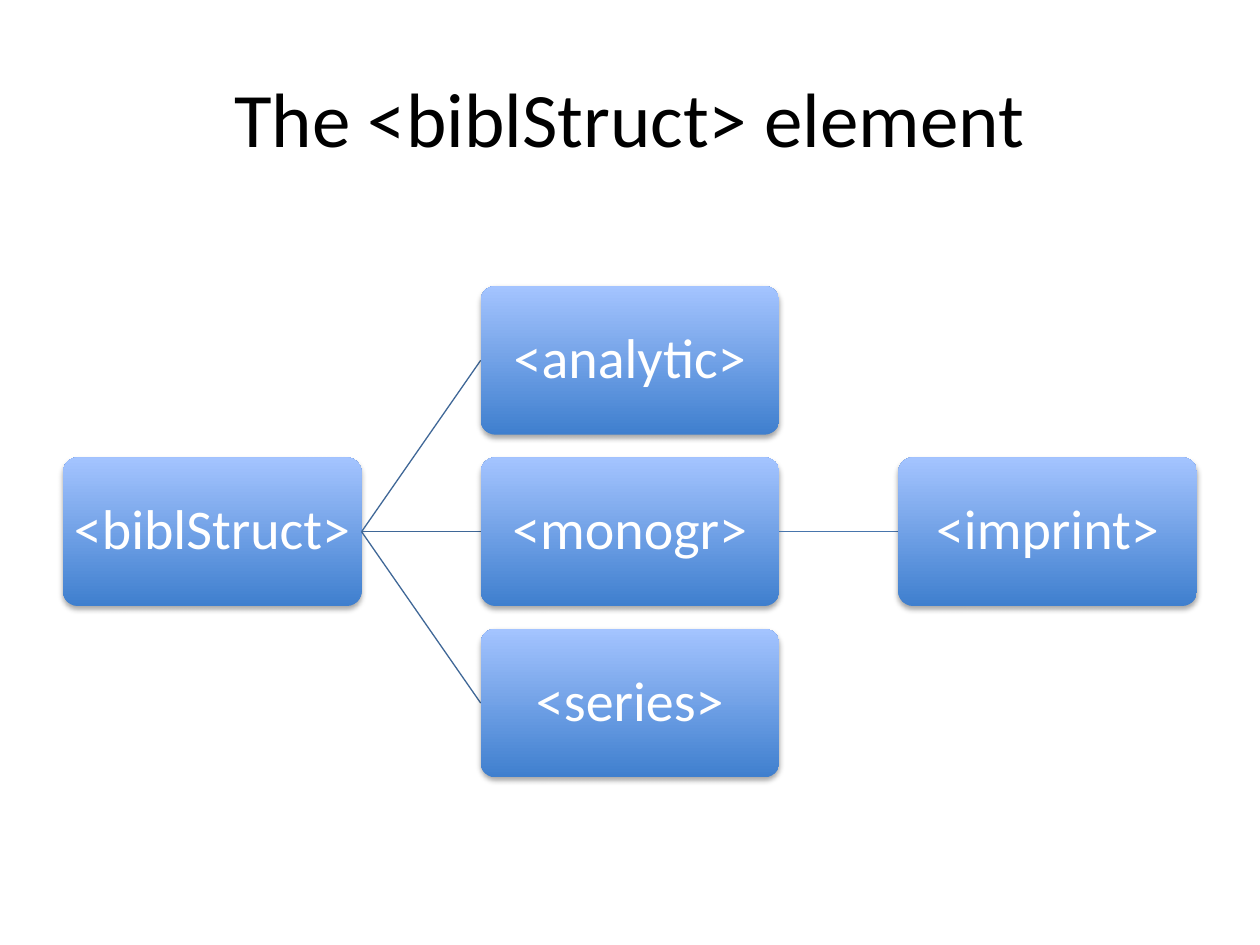
import pptx
import pptx.util
import pptx.dml.color
import pptx.enum.shapes
import pptx.enum.text
import pptx.oxml
import pptx.oxml.ns
import lxml.etree

Inches, Pt = pptx.util.Inches, pptx.util.Pt


def rgb(value):
    """Turn a hex string into a colour."""
    return pptx.dml.color.RGBColor.from_string(value)


def write(tf, text, size=32, color="FFFFFF", font="Calibri", spacing=1.0, margin=0.05):
    """Put one centred, formatted paragraph into a text frame."""
    tf.word_wrap = True
    tf.vertical_anchor = pptx.enum.text.MSO_ANCHOR.MIDDLE
    tf.margin_left = tf.margin_right = tf.margin_top = tf.margin_bottom = Inches(margin)
    p = tf.paragraphs[0]
    p.alignment = pptx.enum.text.PP_ALIGN.CENTER
    p.line_spacing = spacing
    r = p.add_run()
    r.text = text
    r.font.size = Pt(size)
    r.font.name = font
    r.font.color.rgb = rgb(color)


class Tree:
    """Draw a horizontal tree of rounded boxes on one slide."""

    width, height = 2.37, 1.18
    left, middle = 0.5, 4.22
    column_step, row_step = 3.315, 1.36
    gradient = ("3F7FCE", "A4C4FF")

    def __init__(self, s):
        self.s = s

    def title(self, text):
        """Fill the title placeholder."""
        sp = self.s.shapes.title
        sp.left, sp.top, sp.width, sp.height = map(Inches, (0.5, 0.3, 9, 1.25))
        write(sp.text_frame, text, size=44, color="000000")

    def node(self, text, column, row):
        """Add a box whose row counts from the middle line."""
        x = self.left + column * self.column_step
        y = self.middle + row * self.row_step - self.height / 2
        sp = self.s.shapes.add_shape(
            pptx.enum.shapes.MSO_SHAPE.ROUNDED_RECTANGLE,
            Inches(x), Inches(y), Inches(self.width), Inches(self.height))
        sp.adjustments[0] = 0.1
        sp.fill.gradient()
        sp.fill.gradient_angle = 90
        for position, (stop, color) in enumerate(zip(sp.fill.gradient_stops, self.gradient)):
            stop.position = position
            stop.color.rgb = rgb(color)
        sp.line.fill.background()
        self.shadow(sp)
        write(sp.text_frame, text, spacing=0.9, margin=0.02)

    def shadow(self, sp):
        """Give a shape a soft shadow below it."""
        sp.shadow.inherit = False
        effects = sp._element.spPr.find(pptx.oxml.ns.qn("a:effectLst"))
        effects.append(pptx.oxml.parse_xml(
            f'<a:outerShdw {pptx.oxml.ns.nsdecls("a")} blurRad="{Pt(3.1)}" dist="{Pt(1.8)}" '
            'dir="5400000" rotWithShape="0"><a:srgbClr val="000000">'
            '<a:alpha val="35000"/></a:srgbClr></a:outerShdw>'))

    def link(self, column, row, color):
        """Join the middle box of the previous column to a box."""
        x = self.left + column * self.column_step
        line = self.s.shapes.add_connector(
            pptx.enum.shapes.MSO_CONNECTOR.STRAIGHT,
            Inches(x - self.column_step + self.width), Inches(self.middle),
            Inches(x), Inches(self.middle + row * self.row_step))
        line.line.color.rgb = rgb(color)
        line.line.width = Pt(0.75)
        lxml.etree.SubElement(line._element.spPr, pptx.oxml.ns.qn("a:effectLst"))


prs = pptx.Presentation()
prs.slide_width, prs.slide_height = Inches(10), Inches(7.5)
tree = Tree(prs.slides.add_slide(prs.slide_layouts[5]))
tree.title("The <biblStruct> element")
tree.node("<biblStruct>", 0, 0)
for text, column, row, color in (
        ("<analytic>", 1, -1, "3F6797"),
        ("<monogr>", 1, 0, "3F6797"),
        ("<imprint>", 2, 0, "4875AC"),
        ("<series>", 1, 1, "3F6797")):
    tree.link(column, row, color)
    tree.node(text, column, row)
prs.save("out.pptx")
